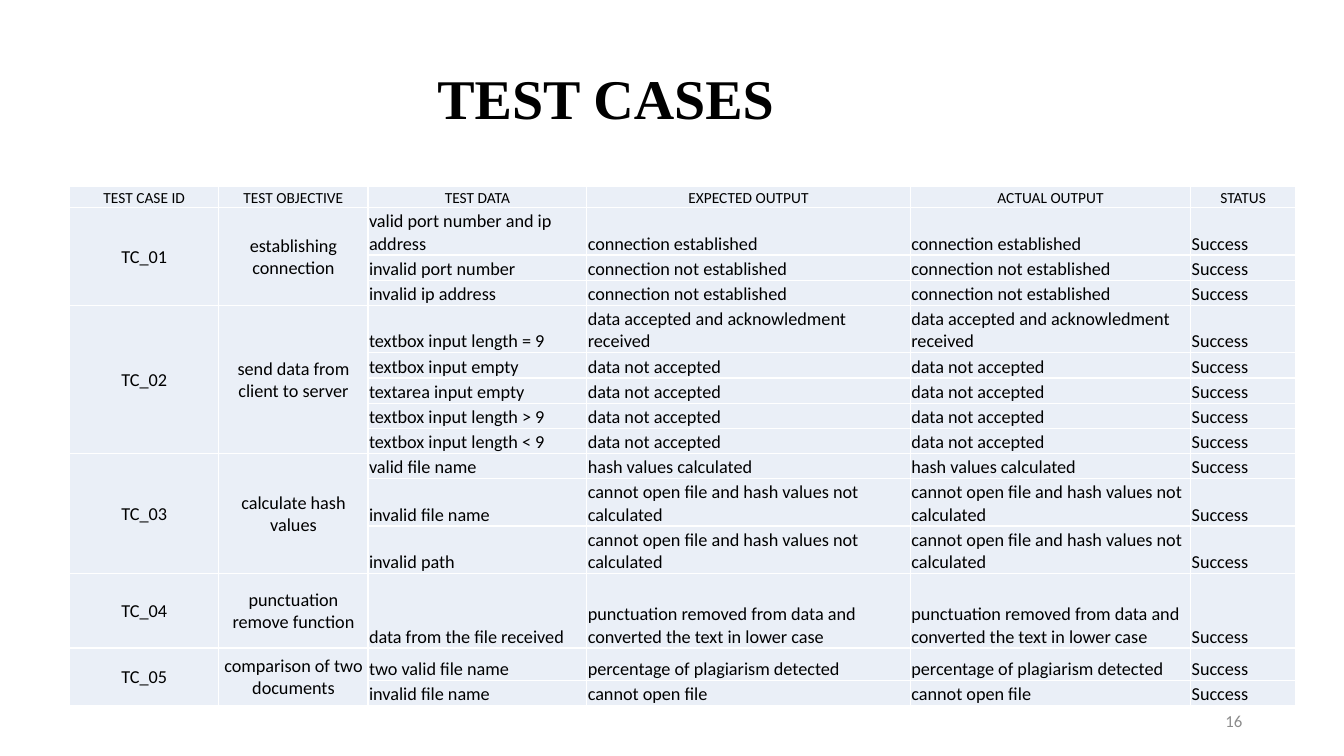
"""Build the test cases slide."""
from dataclasses import dataclass

import lxml.etree
import pptx
import pptx.dml.color
import pptx.enum.text
import pptx.oxml.ns
import pptx.util

Inches = pptx.util.Inches
ALIGN = pptx.enum.text.PP_ALIGN
ANCHOR = pptx.enum.text.MSO_ANCHOR


@dataclass(frozen=True)
class Theme:
    """Colours, fonts and type sizes of the slide."""
    ink: str = "000000"
    muted: str = "8C8C8C"
    cell: str = "EAEFF7"
    rule: str = "FFFFFF"
    body_font: str = "Calibri"
    title_font: str = "Times New Roman"
    title_size: int = 40
    header_size: int = 11
    body_size: int = 13
    number_size: int = 12


THEME = Theme()
HEADERS = ["TEST CASE ID", "TEST OBJECTIVE", "TEST DATA",
           "EXPECTED OUTPUT", "ACTUAL OUTPUT", "STATUS"]
COLUMN_WIDTHS = [1.48, 1.48, 2.17, 3.21, 2.78, 1.04]
ROW_HEIGHTS = [0.21, 0.47, 0.25, 0.25, 0.47, 0.25, 0.25, 0.25,
               0.25, 0.25, 0.47, 0.47, 0.74, 0.32, 0.25]
STATUS = "Success"
TEST_CASES = [
    ("TC_01", "establishing connection", [
        ("valid port number and ip address", "connection established"),
        ("invalid port number", "connection not established"),
        ("invalid ip address", "connection not established")]),
    ("TC_02", "send data from client to server", [
        ("textbox input length = 9", "data accepted and acknowledment received"),
        ("textbox input empty", "data not accepted"),
        ("textarea input empty", "data not accepted"),
        ("textbox input length > 9", "data not accepted"),
        ("textbox input length < 9", "data not accepted")]),
    ("TC_03", "calculate hash values", [
        ("valid file name", "hash values calculated"),
        ("invalid file name", "cannot open file and hash values not calculated"),
        ("invalid path", "cannot open file and hash values not calculated")]),
    ("TC_04", "punctuation remove function", [
        ("data from the file received",
         "punctuation removed from data and converted the text in lower case")]),
    ("TC_05", "comparison of two documents", [
        ("two valid file name", "percentage of plagiarism detected"),
        ("invalid file name", "cannot open file")]),
]


def write(frame, text, *, size=THEME.body_size, font=THEME.body_font,
          color=THEME.ink, bold=False, align=ALIGN.LEFT):
    """Put one formatted line of text in a text frame."""
    paragraph = frame.paragraphs[0]
    paragraph.alignment = align
    run = paragraph.add_run()
    run.text = text
    run.font.size = pptx.util.Pt(size)
    run.font.name = font
    run.font.bold = bold
    run.font.color.rgb = pptx.dml.color.RGBColor.from_string(color)


def add_label(slide, text, left, top, width, height, *, wrap=True,
              anchor=ANCHOR.TOP, **text_format):
    """Add a text box holding one line."""
    label = slide.shapes.add_textbox(Inches(left), Inches(top),
                                     Inches(width), Inches(height))
    label.text_frame.word_wrap = wrap
    label.text_frame.vertical_anchor = anchor
    write(label.text_frame, text, **text_format)


def style_cell(cell):
    """Give a cell its borders, fill and margins."""
    qn = pptx.oxml.ns.qn
    properties = cell._tc.get_or_add_tcPr()
    for side in ("a:lnL", "a:lnR", "a:lnT", "a:lnB"):
        line = lxml.etree.SubElement(properties, qn(side), w=str(pptx.util.Pt(1)))
        fill = lxml.etree.SubElement(line, qn("a:solidFill"))
        lxml.etree.SubElement(fill, qn("a:srgbClr"), val=THEME.rule)
    cell.fill.solid()
    cell.fill.fore_color.rgb = pptx.dml.color.RGBColor.from_string(THEME.cell)
    cell.margin_left = cell.margin_right = cell.margin_top = Inches(0.01)
    cell.margin_bottom = 0


def write_cell(cell, text, *, anchor=ANCHOR.BOTTOM, **text_format):
    """Write text in a table cell."""
    cell.vertical_anchor = anchor
    write(cell.text_frame, text, **text_format)


def add_grid(slide, left, top):
    """Add the empty styled table."""
    table = slide.shapes.add_table(
        len(ROW_HEIGHTS), len(COLUMN_WIDTHS), Inches(left), Inches(top),
        Inches(sum(COLUMN_WIDTHS)), Inches(sum(ROW_HEIGHTS))).table
    table.first_row = table.horz_banding = False
    for column, width in zip(table.columns, COLUMN_WIDTHS):
        column.width = Inches(width)
    for row, height in zip(table.rows, ROW_HEIGHTS):
        row.height = Inches(height)
    for cell in table.iter_cells():
        style_cell(cell)
    return table


def fill_case(table, first_row, case_id, objective, checks):
    """Write one test case with its checks and return the next free row."""
    last_row = first_row + len(checks) - 1
    for column, text in enumerate((case_id, objective)):
        cell = table.cell(first_row, column)
        if last_row > first_row:
            cell.merge(table.cell(last_row, column))
        write_cell(cell, text, anchor=ANCHOR.MIDDLE, align=ALIGN.CENTER)
    for row, (data, output) in enumerate(checks, first_row):
        for column, text in enumerate((data, output, output, STATUS), 2):
            write_cell(table.cell(row, column), text)
    return last_row + 1


def main():
    """Build and save the slide."""
    deck = pptx.Presentation()
    deck.slide_width, deck.slide_height = Inches(13.33), Inches(7.5)
    slide = deck.slides.add_slide(deck.slide_layouts[6])
    add_label(slide, "16", 9.42, 6.95, 3, 0.4, anchor=ANCHOR.MIDDLE,
              size=THEME.number_size, color=THEME.muted, align=ALIGN.RIGHT)
    add_label(slide, "TEST CASES", 4.24, 0.58, 3.57, 0.77, wrap=False,
              size=THEME.title_size, font=THEME.title_font, bold=True)
    table = add_grid(slide, 0.69, 1.85)
    for column, header in enumerate(HEADERS):
        write_cell(table.cell(0, column), header,
                   size=THEME.header_size, align=ALIGN.CENTER)
    next_row = 1
    for case in TEST_CASES:
        next_row = fill_case(table, next_row, *case)
    deck.save("out.pptx")


if __name__ == "__main__":
    main()
